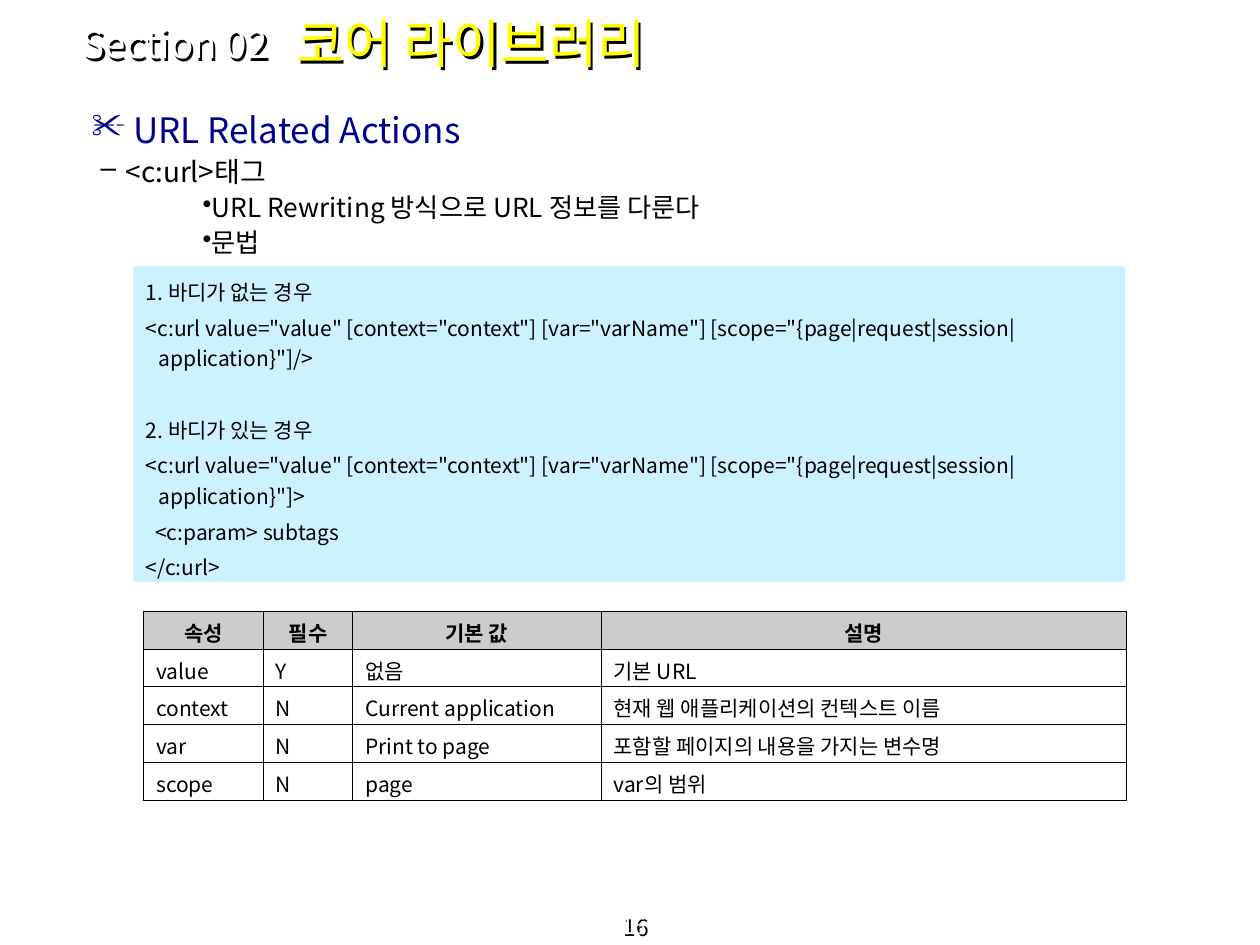
from dataclasses import dataclass

from lxml.etree import SubElement
from pptx import Presentation
from pptx.dml.color import RGBColor
from pptx.enum.shapes import MSO_SHAPE as Preset
from pptx.enum.text import MSO_ANCHOR as Anchor, PP_ALIGN as Align
from pptx.oxml import parse_xml
from pptx.oxml.ns import nsdecls, qn
from pptx.util import Inches, Pt

FONT = "Noto Sans CJK KR"
BLACK, WHITE, YELLOW, NAVY = "000000", "FFFFFF", "FFFF00", "00008E"
PALE_BLUE, GRAY = "CDF2FF", "CCCCCC"


@dataclass
class Heading:
    text: str
    left: float
    top: float
    width: float
    height: float
    size: float
    color: str
    inset: float = 0.1
    align: Align = Align.LEFT
    anchor: Anchor = Anchor.MIDDLE


@dataclass
class Bullet:
    text: str
    mark: str
    size: float
    color: str
    margin: float
    indent: float
    line: float
    before: float


@dataclass
class CodeLine:
    text: str
    before: float = 3


HEADINGS = [
    Heading("16", 0, 7.28, 10, 0.22, 13, WHITE, 0.16, Align.CENTER, Anchor.BOTTOM),
    Heading("코어 라이브러리", 2.16, 0, 6.49, 0.68, 30, YELLOW, 0.19),
    Heading("Section 02", 0.55, 0.16, 1.93, 0.37, 22, WHITE),
]
BULLETS = [
    Bullet("URL Related Actions", "✂", 20, NAVY, 0.45, -0.33, 21.8, 0),
    Bullet("<c:url>태그", "–", 16, BLACK, 0.39, -0.2, 17.4, 4),
    Bullet("URL Rewriting 방식으로 URL 정보를 다룬다", "•", 15, BLACK, 0.59, 0.41, 16.3, 3.7),
    Bullet("문법", "•", 15, BLACK, 0.59, 0.41, 16.3, 3.7),
]
URL_TAG = ('<c:url value="value" [context="context"] [var="varName"] '
           '[scope="{page|request|session|application}"]')
CODE_LINES = [
    CodeLine("1. 바디가 없는 경우", 0),
    CodeLine(URL_TAG + "/>"),
    CodeLine("2. 바디가 있는 경우", 23.4),
    CodeLine(URL_TAG + ">"),
    CodeLine("  <c:param> subtags"),
    CodeLine("</c:url>"),
]
COLUMN_WIDTHS = [0.95, 0.71, 1.97, 4.17]
ROW_HEIGHT = 0.3
ATTRIBUTES = [
    ["속성", "필수", "기본 값", "설명"],
    ["value", "Y", "없음", "기본 URL"],
    ["context", "N", "Current application", "현재 웹 애플리케이션의 컨텍스트 이름"],
    ["var", "N", "Print to page", "포함할 페이지의 내용을 가지는 변수명"],
    ["scope", "N", "page", "var의 범위"],
]


def rgb(value: str) -> RGBColor:
    return RGBColor.from_string(value)


def add_span(para, text: str, size: float, color: str, bold: bool = False) -> None:
    span = para.add_run()
    span.text = text
    span.font.size = Pt(size)
    span.font.bold = bold
    span.font.name = FONT
    span.font.color.rgb = rgb(color)
    for script in ("a:ea", "a:cs"):
        SubElement(span.font._element, qn(script)).set("typeface", FONT)


def next_para(frame, index: int):
    return frame.paragraphs[0] if index == 0 else frame.add_paragraph()


def set_spacing(para, margin: float, indent: float, line: float, before: float) -> None:
    para.line_spacing = Pt(line)
    para.space_before = Pt(before)
    properties = para._p.get_or_add_pPr()
    properties.set("marL", str(Inches(margin)))
    properties.set("indent", str(Inches(indent)))


def add_text_shadow(box) -> None:
    """Give an unfilled box a hard shadow, which falls from its letters."""
    box._element.spPr.append(parse_xml(
        f'<a:effectLst {nsdecls("a")}>'
        '<a:outerShdw blurRad="0" dist="25400" dir="2700000" algn="ctr" rotWithShape="0">'
        f'<a:srgbClr val="{BLACK}"/></a:outerShdw></a:effectLst>'))


def add_heading(page, heading: Heading) -> None:
    box = page.shapes.add_textbox(Inches(heading.left), Inches(heading.top),
                                  Inches(heading.width), Inches(heading.height))
    frame = box.text_frame
    frame.word_wrap = True
    frame.vertical_anchor = heading.anchor
    frame.margin_left = Inches(heading.inset)
    para = frame.paragraphs[0]
    para.alignment = heading.align
    add_span(para, heading.text, heading.size, heading.color)
    add_text_shadow(box)


def add_bullets(page, bullets: list[Bullet]) -> None:
    box = page.shapes.add_textbox(Inches(0.51), Inches(0.84), Inches(9), Inches(4.95))
    frame = box.text_frame
    frame.word_wrap = True
    for index, bullet in enumerate(bullets):
        para = next_para(frame, index)
        set_spacing(para, bullet.margin, bullet.indent, bullet.line, bullet.before)
        properties = para._p.get_or_add_pPr()
        mark_color = SubElement(properties, qn("a:buClr"))
        SubElement(mark_color, qn("a:srgbClr")).set("val", bullet.color)
        SubElement(properties, qn("a:buChar")).set("char", bullet.mark)
        add_span(para, bullet.text, bullet.size, bullet.color)


def add_code(page, lines: list[CodeLine]) -> None:
    panel = page.shapes.add_shape(Preset.RECTANGLE, Inches(1.06), Inches(2.11),
                                  Inches(7.87), Inches(2.51))
    panel.shadow.inherit = False
    panel.fill.solid()
    panel.fill.fore_color.rgb = rgb(PALE_BLUE)
    panel.line.fill.background()
    frame = panel.text_frame
    frame.word_wrap = True
    frame.vertical_anchor = Anchor.TOP
    frame.margin_top = Inches(0.07)
    for index, line in enumerate(lines):
        para = next_para(frame, index)
        para.alignment = Align.LEFT
        set_spacing(para, 0.1, -0.1, 17.4, line.before)
        add_span(para, line.text, 12, BLACK)


def add_borders(cell) -> None:
    properties = cell._tc.get_or_add_tcPr()
    for position, side in enumerate(("lnL", "lnR", "lnT", "lnB")):
        properties.insert(position, parse_xml(
            f'<a:{side} {nsdecls("a")} w="{Pt(0.45)}"><a:solidFill>'
            f'<a:srgbClr val="{BLACK}"/></a:solidFill></a:{side}>'))


def fill_cell(cell, text: str, is_header: bool) -> None:
    if is_header:
        cell.fill.solid()
        cell.fill.fore_color.rgb = rgb(GRAY)
    else:
        cell.fill.background()
    add_borders(cell)
    cell.vertical_anchor = Anchor.MIDDLE
    cell.margin_top, cell.margin_bottom = Inches(0.08), 0
    para = cell.text_frame.paragraphs[0]
    para.alignment = Align.CENTER if is_header else Align.JUSTIFY
    para.line_spacing = Pt(14)
    add_span(para, text, 12, BLACK, is_header)


def add_attribute_table(page, rows: list[list[str]]) -> None:
    table = page.shapes.add_table(
        len(rows), len(COLUMN_WIDTHS), Inches(1.14), Inches(4.85),
        Inches(sum(COLUMN_WIDTHS)), Inches(ROW_HEIGHT * len(rows))).table
    table.first_row = table.horz_banding = False
    for column, width in zip(table.columns, COLUMN_WIDTHS):
        column.width = Inches(width)
    for row_index, row in enumerate(rows):
        table.rows[row_index].height = Inches(ROW_HEIGHT)
        for column_index, text in enumerate(row):
            fill_cell(table.cell(row_index, column_index), text, row_index == 0)


def main() -> None:
    deck = Presentation()
    deck.slide_width, deck.slide_height = Inches(10), Inches(7.5)
    page = deck.slides.add_slide(deck.slide_layouts[6])
    add_bullets(page, BULLETS)
    add_code(page, CODE_LINES)
    add_attribute_table(page, ATTRIBUTES)
    for heading in HEADINGS:
        add_heading(page, heading)
    deck.save("out.pptx")


if __name__ == "__main__":
    main()
